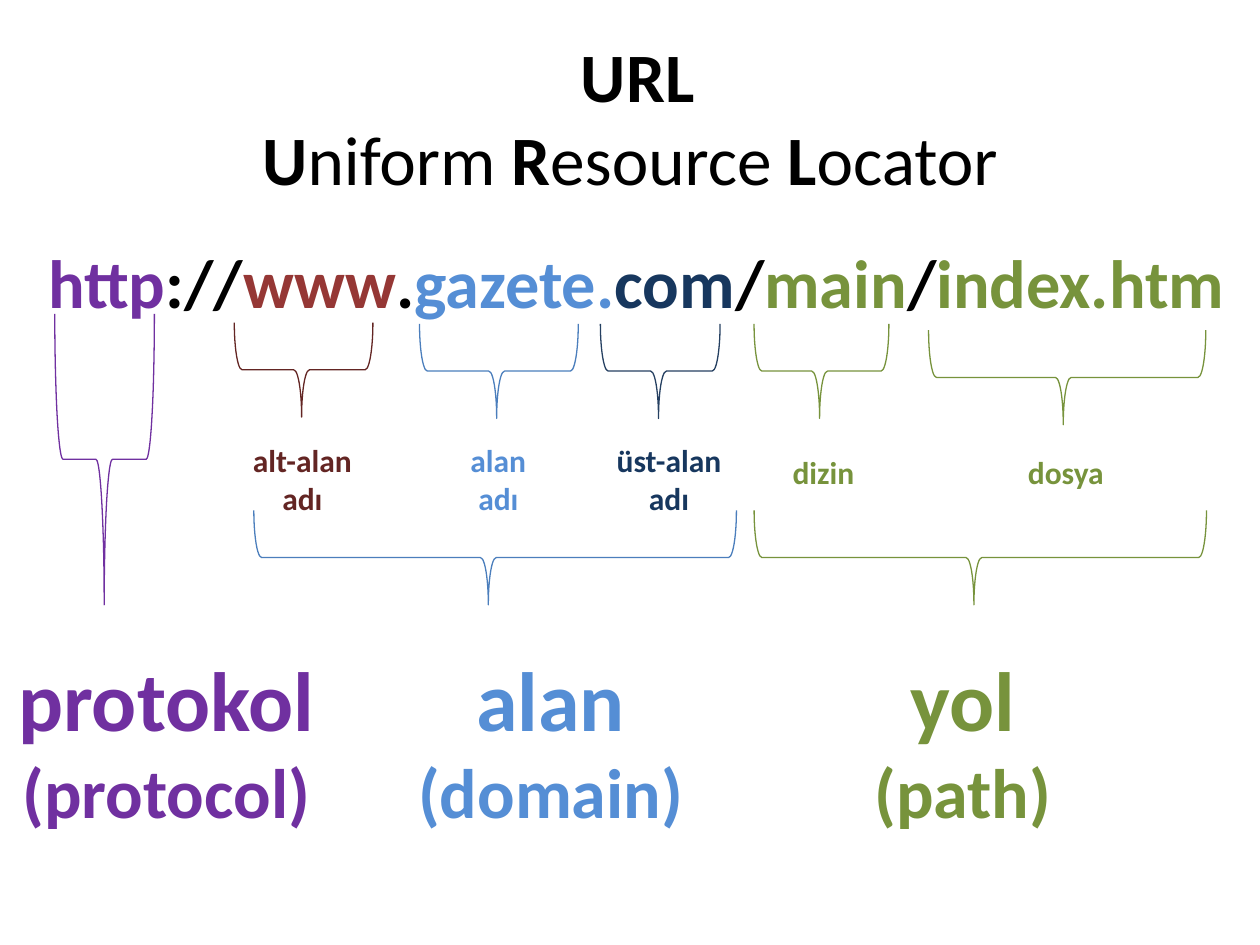
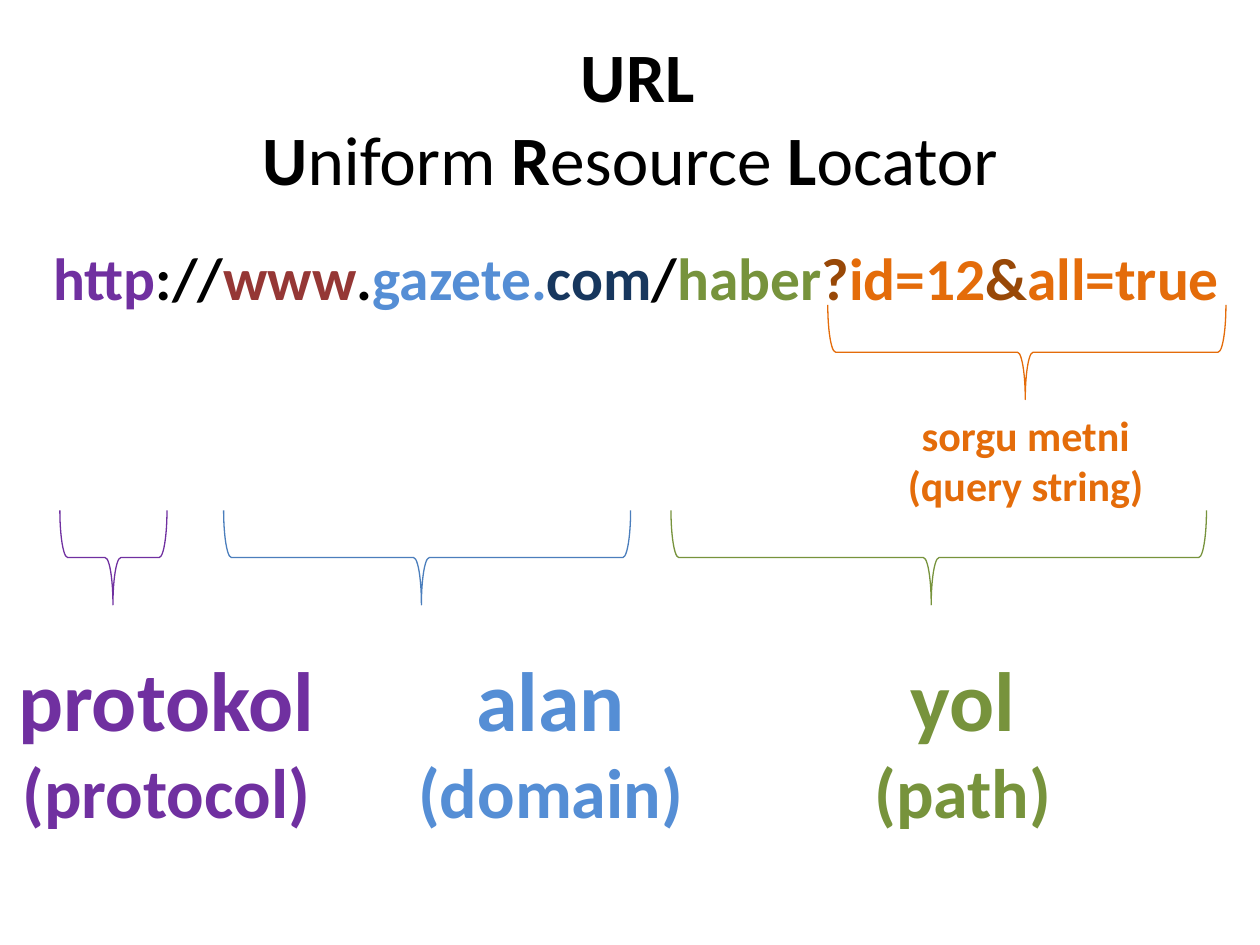
from copy import deepcopy

from pptx import Presentation
from pptx.dml.color import RGBColor
from pptx.enum.shapes import MSO_SHAPE as Shape
from pptx.enum.text import MSO_ANCHOR as Anchor, MSO_AUTO_SIZE as AutoSize, PP_ALIGN as Align
from pptx.util import Inches, Pt

BLACK = RGBColor(0x00, 0x00, 0x00)
PURPLE = RGBColor(0x70, 0x30, 0xA0)
RED = RGBColor(0x95, 0x37, 0x35)
MAROON = RGBColor(0x63, 0x25, 0x23)
BLUE = RGBColor(0x55, 0x8E, 0xD5)
STEEL = RGBColor(0x4B, 0x7E, 0xBC)
NAVY = RGBColor(0x17, 0x37, 0x5E)
DARK_BLUE = RGBColor(0x25, 0x40, 0x61)
GREEN = RGBColor(0x77, 0x93, 0x3C)
ORANGE = RGBColor(0xE4, 0x6C, 0x0A)
BROWN = RGBColor(0x98, 0x48, 0x07)

FONT = "Calibri"
BRACE_HEIGHT = 0.75
LOWER_BRACE_TOP = 4.05
TERM_TOP = 5.09

# Parts of the address that both slides begin with
ADDRESS_START = [("http", PURPLE), ("://", BLACK), ("www", RED), (".", BLACK),
                 ("gazete.", BLUE), ("com", NAVY), ("/", BLACK)]

# Main terms: left, width, height, colour, Turkish word, English word
TERMS = [
    (0.04, 2.56, 1.58, PURPLE, "protokol", "(protocol)"),
    (2.90, 2.94, 1.88, BLUE, "alan", "(domain)"),
    (6.54, 2.20, 1.88, GREEN, "yol", "(path)"),
]


def apply(target, values):
    """Set each attribute named in a dict of format values."""
    for name, value in values.items():
        setattr(target, name, value)


class UrlDeck:
    """Holds the style and the current slide."""

    def __init__(self):
        self.deck = Presentation()
        apply(self.deck, {"slide_width": Inches(10), "slide_height": Inches(7.5)})
        self.page = None

    def add_text(self, para, text, size, color, bold=True):
        """Add text to a centred paragraph, with a line break at each newline."""
        para.alignment = Align.CENTER
        for index, line in enumerate(text.split("\n")):
            if index:
                line_break = para._p.add_br()
                line_break.append(deepcopy(span._r.rPr))
            span = para.add_run()
            span.text = line
            apply(span.font, {"name": FONT, "size": Pt(size), "bold": bold})
            span.font.color.rgb = color

    def add_page(self):
        """Start a slide with the shared title and main terms."""
        self.page = self.deck.slides.add_slide(self.deck.slide_layouts[5])
        title = self.page.shapes.title
        apply(title, {"left": Inches(0.5), "top": Inches(0.3),
                      "width": Inches(9), "height": Inches(1.25)})
        apply(title.text_frame, {"word_wrap": True, "auto_size": AutoSize.NONE,
                                 "vertical_anchor": Anchor.MIDDLE})
        para = title.text_frame.paragraphs[0]
        for text, bold in [(" ", True), ("URL\nU", True), ("niform ", False), ("R", True),
                           ("esource ", False), ("L", True), ("ocator", False)]:
            self.add_text(para, text, 39.6, BLACK, bold)
        for left, width, height, color, word, english in TERMS:
            para = self.add_box(left, TERM_TOP, width, height)
            self.add_text(para, word + "\n", 48, color)
            self.add_text(para, english, 40, color)

    def add_box(self, left, top, width, height, wrap=True):
        """Add a text box and return its first paragraph."""
        box = self.page.shapes.add_textbox(Inches(left), Inches(top),
                                           Inches(width), Inches(height))
        apply(box.text_frame, {"word_wrap": wrap, "auto_size": AutoSize.SHAPE_TO_FIT_TEXT})
        return box.text_frame.paragraphs[0]

    def add_address(self, size, ending):
        """Add the coloured address line."""
        para = self.add_box(0.2, 1.86, 9.7, 0.75)
        for text, color in ADDRESS_START + ending:
            self.add_text(para, text, size, color)

    def add_label(self, left, top, width, height, text, color, size=18, wrap=False):
        """Add a small caption under a brace."""
        self.add_text(self.add_box(left, top, width, height, wrap), text, size, color)

    def add_brace(self, center, top, width, color, height=BRACE_HEIGHT, middle=0.486):
        """Add a brace that points down; sizes are those seen after its turn."""
        brace = self.page.shapes.add_shape(
            Shape.LEFT_BRACE, Inches(center - height / 2), Inches(top + height / 2 - width / 2),
            Inches(height), Inches(width))
        brace.rotation = 270
        brace.shadow.inherit = False
        brace.fill.background()
        brace.line.color.rgb = color
        brace.line.width = Pt(0.75)
        brace.adjustments[0] = 0.083
        brace.adjustments[1] = middle


def add_parts_page(show):
    """Build the slide that names every part of an address."""
    show.add_page()
    show.add_address(39, [("main", GREEN), ("/", BLACK), ("index.htm", GREEN)])
    show.add_brace(0.83, 2.49, 0.79, PURPLE, height=2.31, middle=0.496)
    for center, top, width, color in [
            (2.41, 2.56, 1.10, MAROON), (3.96, 2.57, 1.26, STEEL), (5.24, 2.57, 0.95, DARK_BLUE),
            (6.52, 2.57, 1.07, GREEN), (8.47, 2.62, 2.20, GREEN),
            (3.93, LOWER_BRACE_TOP, 3.83, STEEL), (7.78, LOWER_BRACE_TOP, 3.59, GREEN)]:
        show.add_brace(center, top, width, color)
    for left, width, text, color in [
            (1.90, 1.00, "alt-alan\nadı", MAROON), (3.63, 0.65, "alan\nadı", BLUE),
            (4.79, 1.04, "üst-alan\nadı", NAVY)]:
        show.add_label(left, 3.45, width, 0.71, text, color)
    show.add_label(6.19, 3.55, 0.69, 0.4, "dizin", GREEN)
    show.add_label(7.36, 3.55, 2.2, 0.4, "dosya", GREEN, wrap=True)


def add_query_page(show):
    """Build the slide that explains the query string."""
    show.add_page()
    show.add_address(34, [("haber", GREEN), ("?", BROWN), ("id=12", ORANGE),
                          ("&", BROWN), ("all=true", ORANGE)])
    show.add_brace(0.9, LOWER_BRACE_TOP, 0.85, PURPLE, middle=0.496)
    show.add_brace(3.39, LOWER_BRACE_TOP, 3.23, STEEL)
    show.add_brace(7.45, LOWER_BRACE_TOP, 4.25, GREEN)
    show.add_brace(8.15, 2.42, 3.16, ORANGE, middle=0.496)
    show.add_label(7.04, 3.2, 2.2, 0.91, "sorgu metni\n(query string)", ORANGE, size=24, wrap=True)


show = UrlDeck()
add_parts_page(show)
add_query_page(show)
show.deck.save("out.pptx")
